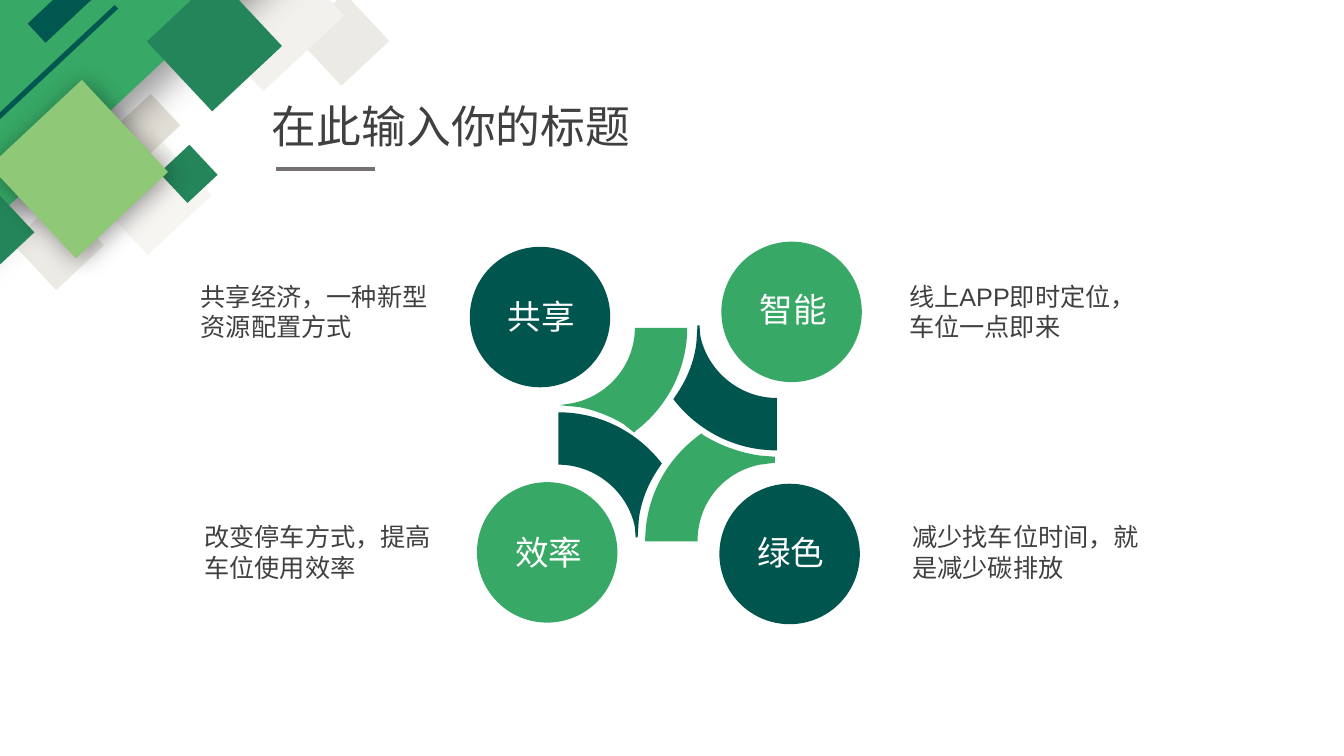
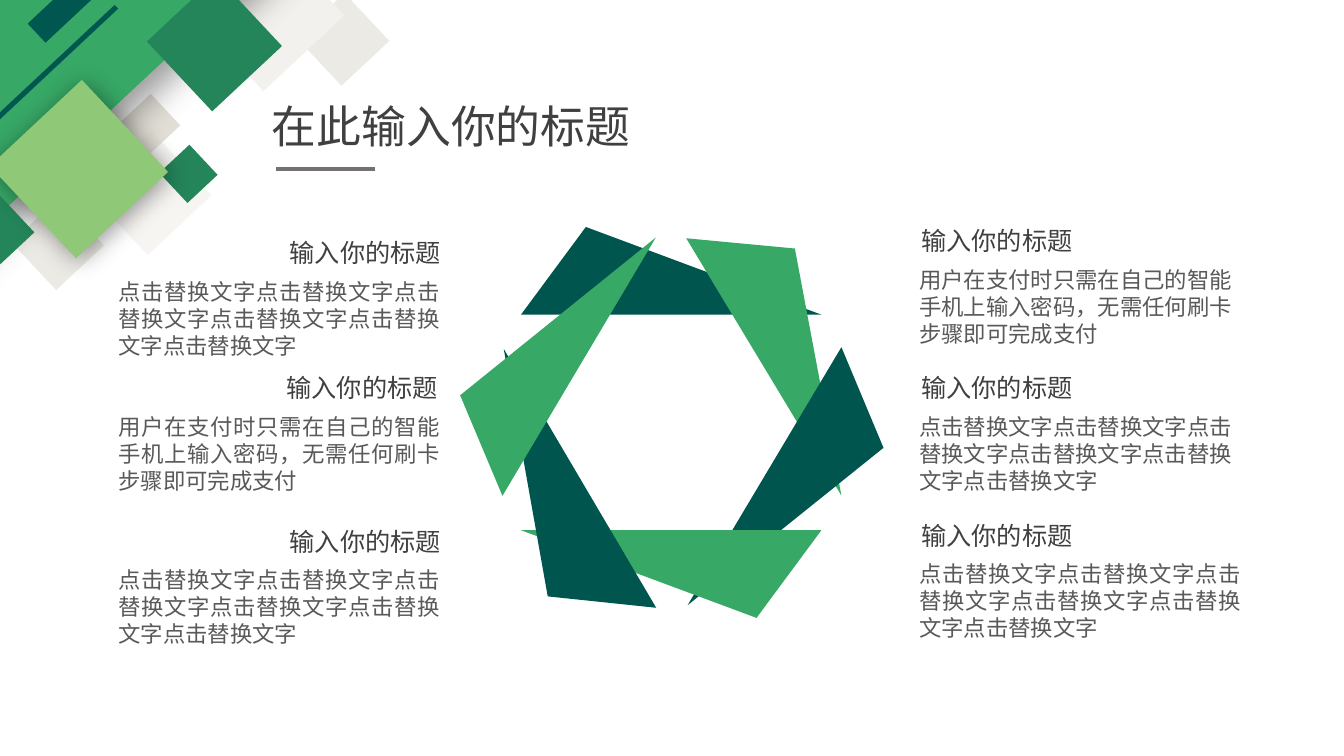
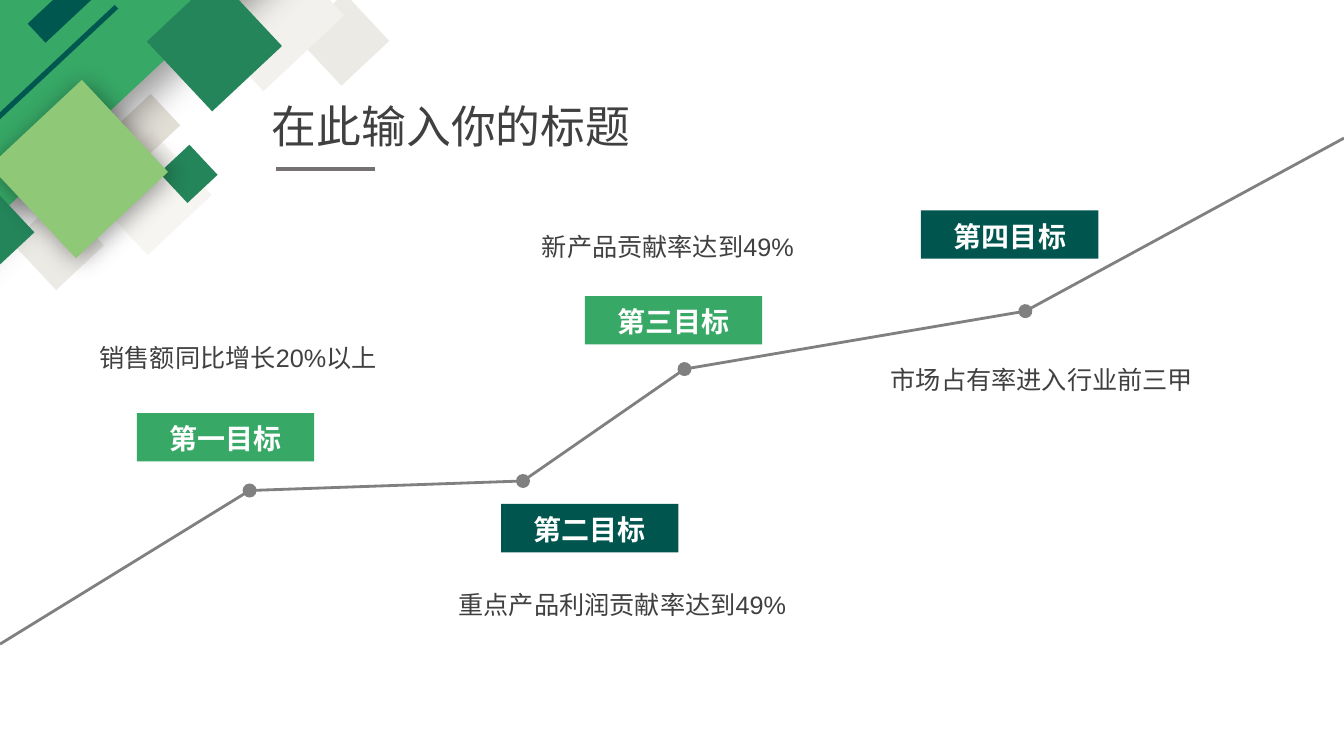
import itertools

import pptx
import pptx.dml.color
import pptx.enum.lang
import pptx.enum.shapes
import pptx.enum.text
import pptx.oxml
import pptx.oxml.ns
import pptx.util

Cm = pptx.util.Cm
Pt = pptx.util.Pt
qn = pptx.oxml.ns.qn
SHAPE = pptx.enum.shapes.MSO_SHAPE
ALIGN = pptx.enum.text.PP_ALIGN
AUTO_SIZE = pptx.enum.text.MSO_AUTO_SIZE

# Shared colours and text styles
GREEN, DEEP, MID, LIME, BAR = "37A866", "00554E", "24855A", "8FC877", "00574F"
SAND, PALE, STONE = "E7E4DD", "F2F1ED", "D8D4C9"
INK, BODY_INK, WHITE, RULE, PATH = "404040", "595959", "FFFFFF", "767171", "808080"

TITLE = {"size": 32, "color": INK}
TEXT = {"size": 18, "color": INK}
BODY = {"size": 16, "color": BODY_INK}
CIRCLE_LABEL = {"size": 24, "color": WHITE}
GOAL_LABEL = {"size": 20, "color": WHITE, "bold": True}

# Corner squares: left, top, width, height, colour, opacity %,
# shadow (blur, distance, angle)
CORNER_TILT = 316.9
CORNER = [
    (7.82, 0.17, 1.65, 1.65, SAND, 76, None),
    (5.31, -1.07, 2.79, 2.79, PALE, 100, None),
    (0.63, 5.32, 1.65, 1.65, SAND, 76, None),
    (2.67, 3.76, 2.21, 2.21, PALE, 67, None),
    (3.23, 2.59, 1.09, 1.09, STONE, 73, None),
    (-5.16, -3.45, 13.39, 6.25, GREEN, 100, (27, 16, 90)),
    (-4.14, 2.9, 8.18, 0.13, BAR, 100, None),
    (4.23, 3.86, 1.04, 1.04, MID, 100, None),
    (4.7, -1.24, 1.12, 1.12, DEEP, 100, None),
    (4.2, -0.1, 2.41, 2.41, MID, 100, None),
    (-1.22, 4.95, 1.73, 1.73, MID, 100, None),
    (0.4, 2.67, 3.18, 3.18, LIME, 100, (18, 3, 45)),
    (-0.2, -2.34, 8.33, 0.66, BAR, 100, None),
]

# Blade outlines: one point is a line, three are a curve
UPPER_GREEN_BLADE = [
    [(16, 8.26)], [(17.32, 8.26)],
    [(17.32, 9.3), (16.81, 10.26), (16.03, 10.85)],
    [(15.98, 10.9)], [(15.72, 10.69)],
    [(15.39, 10.49), (15.01, 10.34), (14.6, 10.26)],
    [(14.1, 10.21)], [(14.43, 10.16)],
    [(15.32, 9.98), (16, 9.2), (16, 8.26)],
]
LOWER_GREEN_BLADE = [
    [(17.68, 10.92)], [(17.73, 10.97)],
    [(18.16, 11.23), (18.62, 11.4), (19.15, 11.48)],
    [(19.53, 11.51)], [(19.53, 11.66)], [(19.15, 11.71)],
    [(18.24, 11.89), (17.58, 12.67), (17.58, 13.64)],
    [(16.26, 13.64)],
    [(16.26, 12.57), (16.76, 11.63), (17.55, 11.02)],
]
RIGHT_DEEP_BLADE = [
    [(17.58, 8.2)], [(17.63, 8.2)], [(17.65, 8.46)],
    [(17.83, 9.35), (18.64, 10.03), (19.58, 10.03)],
    [(19.58, 11.35)],
    [(18.52, 11.35), (17.58, 10.85), (16.97, 10.06)],
    [(17.09, 9.88)],
    [(17.32, 9.53), (17.5, 9.09), (17.55, 8.64)],
]
# Half a turn about the middle of the pinwheel
LEFT_DEEP_BLADE = [
    [(33.65 - x, 21.74 - y) for x, y in segment] for segment in RIGHT_DEEP_BLADE
]


def rgb(color):
    return pptx.dml.color.RGBColor.from_string(color)


def set_values(target, values):
    for name, value in values.items():
        setattr(target, name, value)


def add_xml(parent, markup):
    """Append one DrawingML element."""
    tag, rest = markup.split(" ", 1)
    namespace = pptx.oxml.ns.nsdecls("a")
    parent.append(pptx.oxml.parse_xml(f"<{tag} {namespace} {rest}"))


def add_text(slide, left, top, width, height, text, style, align=ALIGN.LEFT):
    box = slide.shapes.add_textbox(Cm(left), Cm(top), Cm(width), Cm(height))
    set_values(box.text_frame, {"word_wrap": True, "auto_size": AUTO_SIZE.SHAPE_TO_FIT_TEXT})
    paragraph = box.text_frame.paragraphs[0]
    paragraph.alignment = align
    run = paragraph.add_run()
    run.text = text
    set_values(run.font, {
        "name": "Arial",
        "size": Pt(style["size"]),
        "bold": style.get("bold", False),
        "language_id": pptx.enum.lang.MSO_LANGUAGE_ID.SIMPLIFIED_CHINESE,
    })
    run.font.color.rgb = rgb(style["color"])


def paint(shape, color):
    """Plain fill without outline or shadow."""
    shape.shadow.inherit = False
    shape.fill.solid()
    shape.fill.fore_color.rgb = rgb(color)
    shape.line.fill.background()


def add_block(shapes, kind, left, top, width, height, color, rotation=0):
    shape = shapes.add_shape(kind, Cm(left), Cm(top), Cm(width), Cm(height))
    shape.rotation = rotation
    paint(shape, color)
    return shape


def add_line(slide, start, end, color, width, dot=False):
    line = slide.shapes.add_connector(
        pptx.enum.shapes.MSO_CONNECTOR.STRAIGHT, *map(Cm, (*start, *end)))
    line.line.color.rgb = rgb(color)
    line.line.width = Pt(width)
    if dot:
        outline = line.element.spPr.find(qn("a:ln"))
        add_xml(outline, 'a:tailEnd type="oval" w="lg" len="lg"/>')
    add_xml(line.element.spPr, "a:effectLst />")


def add_blade(slide, outline, color):
    """Draw an outline, turning each three-point segment into a Bézier curve."""
    points = [(Cm(x), Cm(y)) for segment in outline for x, y in segment]
    builder = slide.shapes.build_freeform(*points[0])
    builder.add_line_segments(points[1:], close=False)
    blade = builder.convert_to_shape()
    path = blade.element.spPr.find(".//" + qn("a:path"))
    steps = iter(path.findall(qn("a:lnTo")))
    for segment in outline[1:]:
        lines = list(itertools.islice(steps, len(segment)))
        if len(segment) == 3:
            add_xml(path, "a:cubicBezTo />")
            curve = path[-1]
            lines[0].addprevious(curve)
            for line in lines:
                curve.append(line[0])
                path.remove(line)
    add_xml(path, "a:close />")
    paint(blade, color)


def add_corner(slide, layout):
    """Draw the corner squares and move them to the layout all slides use."""
    group = slide.shapes.add_group_shape()
    for left, top, width, height, color, opacity, shadow in CORNER:
        square = add_block(group.shapes, SHAPE.RECTANGLE, left, top, width, height,
                           color, CORNER_TILT)
        properties = square.element.spPr
        if opacity < 100:
            fill_color = properties.find(".//" + qn("a:srgbClr"))
            add_xml(fill_color, f'a:alpha val="{opacity * 1000}"/>')
        if shadow:
            blur, distance, angle = shadow
            add_xml(properties.find(qn("a:effectLst")),
                    f'a:outerShdw blurRad="{Pt(blur)}" dist="{Pt(distance)}" '
                    f'dir="{angle * 60000}" algn="ctr" rotWithShape="0">'
                    '<a:srgbClr val="000000"><a:alpha val="40000"/></a:srgbClr>'
                    '</a:outerShdw>')
    layout.shapes.element.append(group.element)


def add_titled_slide(presentation, layout):
    slide = presentation.slides.add_slide(layout)
    add_text(slide, 6.6, 2.36, 10.34, 1.63, "在此输入你的标题", TITLE)
    add_line(slide, (6.96, 4.26), (9.45, 4.26), RULE, 3)
    return slide


def fill_values_slide(slide):
    # Pinwheel
    for outline, color in [
        (UPPER_GREEN_BLADE, GREEN), (LOWER_GREEN_BLADE, GREEN),
        (RIGHT_DEEP_BLADE, DEEP), (LEFT_DEEP_BLADE, DEEP),
    ]:
        add_blade(slide, outline, color)

    # Circles
    for left, top, color in [
        (11.84, 6.22, DEEP), (18.13, 12.19, DEEP),
        (18.18, 6.09, GREEN), (12.02, 12.15, GREEN),
    ]:
        add_block(slide.shapes, SHAPE.OVAL, left, top, 3.54, 3.54, color)

    # Circle labels
    for label, left, top, width in [
        ("共享", 12.55, 7.32, 2.29), ("效率", 12.73, 13.28, 2.44),
        ("智能", 18.9, 7.16, 2.24), ("绿色", 18.83, 13.28, 2.24),
    ]:
        add_text(slide, left, top, width, 1.27, label, CIRCLE_LABEL)

    # Explanations
    for text, left, top in [
        ("共享经济，一种新型资源配置方式", 4.81, 6.96),
        ("线上APP即时定位，车位一点即来", 22.66, 6.96),
        ("减少找车位时间，就是减少碳排放", 22.74, 13.02),
        ("改变停车方式，提高车位使用效率", 4.9, 13.02),
    ]:
        add_text(slide, left, top, 6.5, 1.8, text, TEXT)


def fill_ring_slide(slide):
    # Ring of triangles
    for index, (left, top, angle) in enumerate([
        (13.13, 5.72, 0), (16.41, 7.57, 58.9), (16.43, 11.46, 120.8),
        (13.13, 13.36, 180), (9.88, 11.51, 239.5), (9.86, 7.57, 300.7),
    ]):
        triangle = add_block(slide.shapes, SHAPE.ISOSCELES_TRIANGLE, left, top, 7.57, 2.21,
                             GREEN if index % 2 else DEEP, angle)
        triangle.adjustments[0] = 0.216

    # Body texts
    filler = "点击替换文字" * 6
    payment = "用户在支付时只需在自己的智能手机上输入密码，无需任何刷卡步骤即可完成支付"
    for left, top, text, align in [
        (2.74, 6.89, filler, ALIGN.JUSTIFY),
        (2.74, 10.29, payment, ALIGN.JUSTIFY),
        (2.74, 14.15, filler, ALIGN.JUSTIFY),
        (22.92, 6.59, payment, ALIGN.LEFT),
        (22.92, 10.29, filler, ALIGN.LEFT),
        (22.92, 14, filler, ALIGN.JUSTIFY),
    ]:
        add_text(slide, left, top, 8.61, 2.31, text, BODY, align)

    # Headings
    for left, top, width, align in [
        (2.67, 5.86, 8.69, ALIGN.RIGHT),
        (2.67, 9.25, 8.61, ALIGN.RIGHT),
        (2.67, 13.15, 8.69, ALIGN.RIGHT),
        (22.97, 5.56, 6.17, ALIGN.LEFT),
        (22.97, 9.25, 6.17, ALIGN.LEFT),
        (22.97, 12.99, 6.17, ALIGN.LEFT),
    ]:
        add_text(slide, left, top, width, 1.02, "输入你的标题", TEXT, align)


def fill_goals_slide(slide):
    # Rising path with a dot at each milestone
    milestones = [(0, 16.23), (6.29, 12.36), (13.18, 12.12),
                  (17.25, 9.3), (25.84, 7.84), (33.87, 3.48)]
    for start, end in itertools.pairwise(milestones):
        add_line(slide, start, end, PATH, 2, dot=end != milestones[-1])

    # Goal boxes
    for left, top, color in [
        (3.45, 10.41, GREEN), (12.63, 12.7, DEEP),
        (14.74, 7.46, GREEN), (23.21, 5.3, DEEP),
    ]:
        add_block(slide.shapes, SHAPE.RECTANGLE, left, top, 4.47, 1.22, color)

    # Goal names
    for label, left, top, width in [
        ("第一目标", 3.81, 10.5, 3.76), ("第二目标", 12.81, 12.8, 4.09),
        ("第三目标", 15.09, 7.55, 3.76), ("第四目标", 23.5, 5.4, 3.91),
    ]:
        add_text(slide, left, top, width, 1.12, label, GOAL_LABEL, ALIGN.CENTER)

    # Goal descriptions
    for text, left, top, width in [
        ("销售额同比增长20%以上", 1.39, 8.5, 9.22),
        ("重点产品利润贡献率达到49%", 10.62, 14.73, 10.13),
        ("新产品贡献率达到49%", 11.47, 5.7, 10.72),
        ("市场占有率进入行业前三甲", 21.55, 9.05, 9.42),
    ]:
        add_text(slide, left, top, width, 1.02, text, TEXT, ALIGN.CENTER)


def main():
    presentation = pptx.Presentation()
    set_values(presentation, {"slide_width": Cm(33.87), "slide_height": Cm(19.05)})
    layout = presentation.slide_layouts[6]
    for fill_slide in (fill_values_slide, fill_ring_slide, fill_goals_slide):
        fill_slide(add_titled_slide(presentation, layout))
    add_corner(presentation.slides[0], layout)
    presentation.save("out.pptx")


if __name__ == "__main__":
    main()
